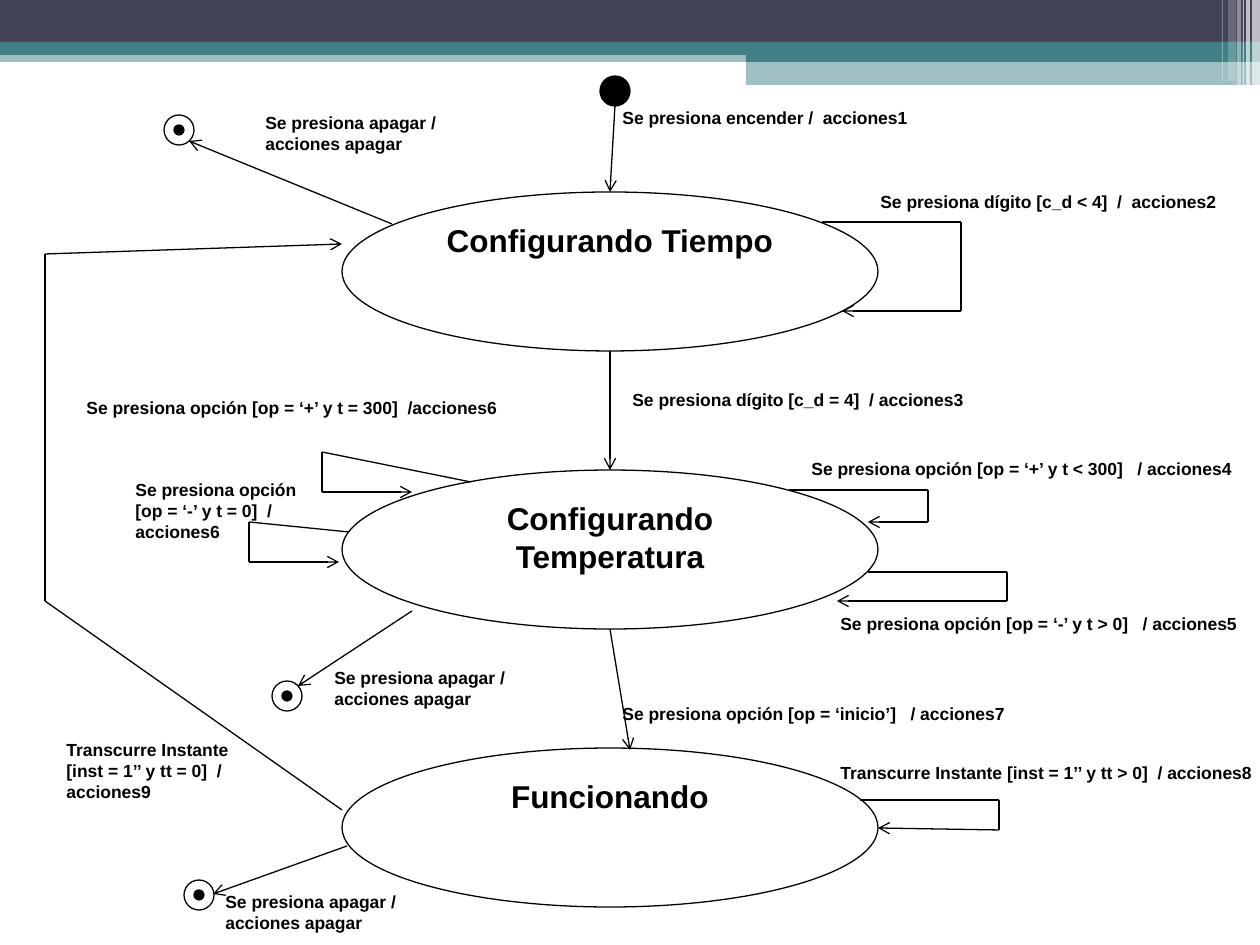
from itertools import pairwise
from lxml import etree
from pptx import Presentation
from pptx import util as u
from pptx.dml.color import RGBColor
from pptx.enum import shapes, text
from pptx.oxml import ns

PX = 914400 / 126
COLORS = {"ink": "000000", "navy": "424456", "teal": "438086", "white": "FFFFFF"}

BANDS = [
    (0, 50, 1260, 12, "teal", 50),
    (0, 0, 1260, 43, "navy", 100),
    (0, 42, 1260, 13, "teal", 100),
    (746, 49, 514, 13, "teal", 100),
    (746, 61, 514, 24, "teal", 50),
]
STRIPES = [
    (1252, 8, 85, 65),
    (1246, 4, 85, 65),
    (1243, 1, 85, 60),
    (1237, 4, 85, 40),
    (1228, 8, 81, 20),
    (1222, 1, 81, 30),
]
STATES = [("Configurando Tiempo", 192), ("Configurando Temperatura", 470), ("Funcionando", 748)]
STATE_LEFT, STATE_W, STATE_H = 342, 536, 159

TRANSITIONS = [
    [(610, 351), (610, 470)],
    [(610, 629), (630, 750)],
    [(822, 222), (961, 222), (961, 311), (842, 311)],
    [(471, 482), (322, 452), (322, 492), (412, 492)],
    [(615, 106), (610, 192)],
    [(789, 490), (928, 490), (928, 522), (868, 522)],
    [(868, 572), (1007, 572), (1007, 601), (837, 601)],
    [(349, 532), (249, 522), (249, 562), (339, 562)],
    [(860, 800), (999, 800), (999, 830), (878, 828)],
    [(342, 810), (45, 601), (45, 254), (342, 244)],
    [(392, 224), (189, 141)],
    [(412, 611), (298, 686)],
    [(347, 846), (213, 894)],
]
START = (615, 91)
ENDS = [(179, 130), (287, 696), (199, 895)]
OUTER, INNER = 30, 10

SWITCH_OFF = "Se presiona apagar / acciones apagar"
LABELS = [
    ("Se presiona encender /  acciones1", 610, 101, 348, 34),
    ("Se presiona dígito [c_d < 4]  /  acciones2", 868, 185, 392, 34),
    ("Se presiona dígito [c_d = 4]  / acciones3", 620, 383, 387, 34),
    ("Se presiona opción [op = ‘+’ y t < 300]   / acciones4", 799, 452, 461, 34),
    ("Se presiona opción [op = ‘-’ y t > 0]   / acciones5", 828, 607, 436, 34),
    ("Se presiona opción [op = ‘+’ y t = 300]  /acciones6", 74, 391, 446, 34),
    ("Se presiona opción [op = ‘-’ y t = 0]  / acciones6", 123, 473, 198, 76),
    ("Se presiona opción [op = ‘inicio’]   / acciones7", 610, 697, 437, 34),
    ("Transcurre Instante [inst = 1’’ y tt > 0]  / acciones8", 828, 756, 456, 34),
    ("Transcurre Instante [inst = 1’’ y tt = 0]  / acciones9", 54, 733, 218, 76),
    (SWITCH_OFF, 253, 106, 238, 55),
    (SWITCH_OFF, 322, 661, 238, 55),
    (SWITCH_OFF, 213, 885, 238, 55),
]


def emu(*lengths):
    return [round(length * PX) for length in lengths]


def rgb(name):
    return RGBColor.from_string(COLORS[name])


def add_outline(line):
    line.color.rgb = rgb("ink")
    line.width = u.Pt(0.75)


def add_part(preset, box, fill=None, opacity=100, outlined=True):
    part = slide.shapes.add_shape(preset, *emu(*box))
    part.shadow.inherit = False
    if fill:
        part.fill.solid()
        part.fill.fore_color.rgb = rgb(fill)
        if opacity < 100:
            color = part.fill._xPr.find(".//" + ns.qn("a:srgbClr"))
            etree.SubElement(color, ns.qn("a:alpha"), val=str(opacity * 1000))
    else:
        part.fill.background()
    if outlined:
        add_outline(part.line)
    else:
        part.line.fill.background()
    return part


def add_circle(center, size, fill=None):
    x, y = center
    add_part(shapes.MSO_SHAPE.OVAL, (x - size / 2, y - size / 2, size, size), fill)


def add_segment(start, end, arrow):
    segment = slide.shapes.add_connector(shapes.MSO_CONNECTOR.STRAIGHT, *emu(*start, *end))
    add_outline(segment.line)
    if arrow:
        etree.SubElement(segment.line._get_or_add_ln(), ns.qn("a:tailEnd"), type="arrow")
    etree.SubElement(segment._element.spPr, ns.qn("a:effectLst"))


def write(holder, words, size=10, align=text.PP_ALIGN.LEFT):
    frame = holder.text_frame
    frame.word_wrap = True
    frame.vertical_anchor = text.MSO_ANCHOR.TOP
    frame.text = words
    paragraph = frame.paragraphs[0]
    paragraph.alignment = align
    font = paragraph.runs[0].font
    font.name, font.size, font.bold = "Arial", u.Pt(size), True
    font.color.rgb = rgb("ink")


deck = Presentation()
deck.slide_width, deck.slide_height = emu(1260, 945)
slide = deck.slides.add_slide(deck.slide_layouts[6])

stripe_bands = [(x, 0, w, h, "white", opacity) for x, w, h, opacity in STRIPES]
for *box, fill, opacity in BANDS + stripe_bands:
    add_part(shapes.MSO_SHAPE.RECTANGLE, box, fill, opacity, outlined=False)

for name, top in STATES:
    state = add_part(shapes.MSO_SHAPE.OVAL, (STATE_LEFT, top, STATE_W, STATE_H))
    write(state, name, size=18, align=text.PP_ALIGN.CENTER)

for route in TRANSITIONS:
    for start, end in pairwise(route):
        add_segment(start, end, arrow=end == route[-1])

add_circle(START, OUTER, "ink")
for center in ENDS:
    add_circle(center, OUTER)
    add_circle(center, INNER, "ink")

for words, *box in LABELS:
    write(slide.shapes.add_textbox(*emu(*box)), words)

deck.save("out.pptx")
